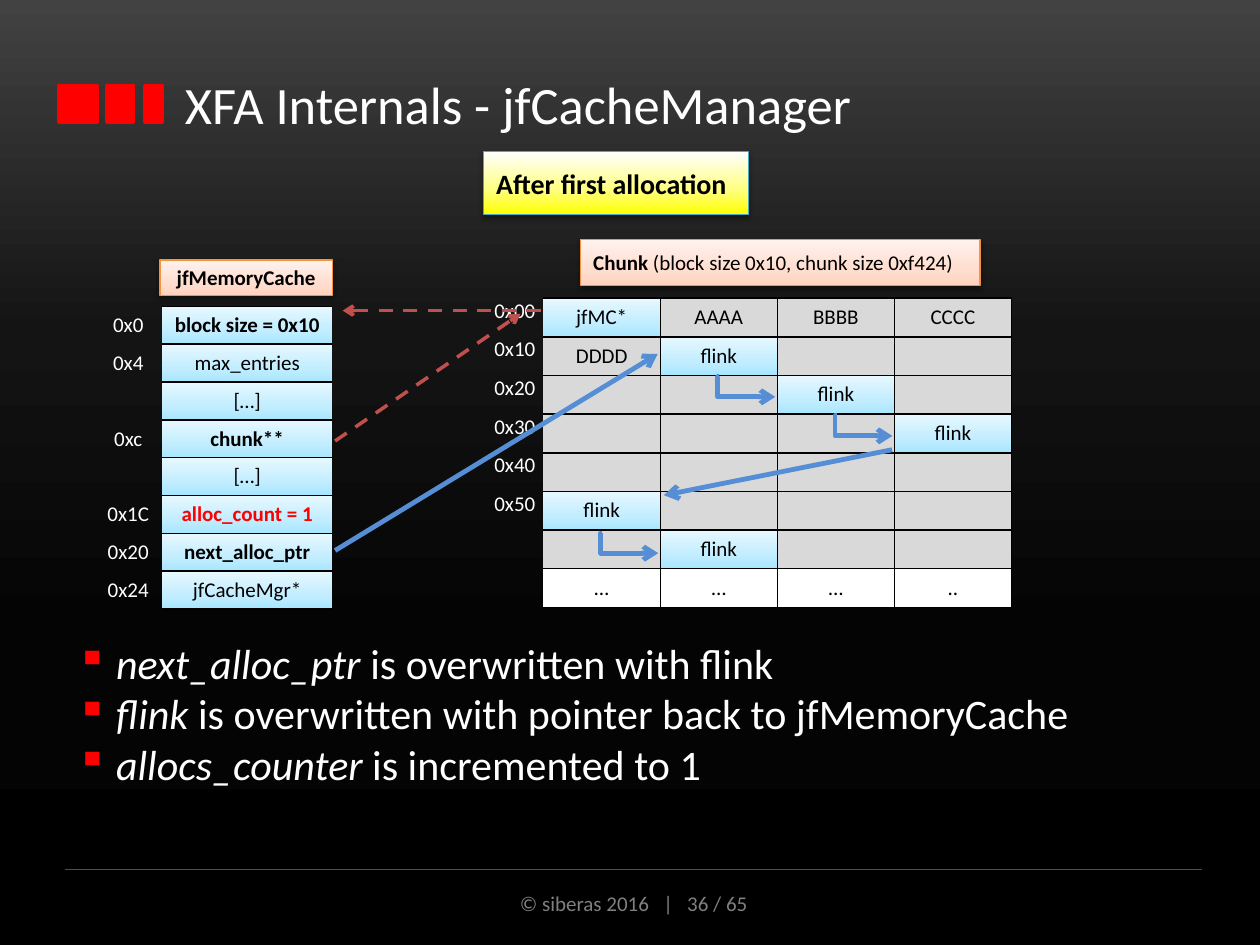
from typing import NamedTuple

from lxml.etree import SubElement
from pptx import Presentation
from pptx.dml.color import RGBColor
from pptx.enum.dml import MSO_LINE
from pptx.enum.shapes import MSO_CONNECTOR, MSO_SHAPE
from pptx.enum.text import MSO_ANCHOR, PP_ALIGN
from pptx.oxml.ns import qn
from pptx.util import Pt

WHITE, BLACK, RED, GREY = "FFFFFF", "000000", "FF0000", "D9D9D9"
BLUE, BRICK = "558ED5", "C0504D"
NO_GRID = "{2D5ABB26-0587-4C30-8999-92F81FD0307C}"

# Gradients as (position in percent, colour)
SKY = [(0, "A7E6FF"), (35, "C1EDFF"), (100, "E7F8FF")]
PEACH = [(0, "FFD2BD"), (35, "FFDED0"), (100, "FFF2ED")]
YELLOW = [(0, "FFFF00"), (39, "FFFF80"), (100, "FFFFFF")]
NIGHT = [(0, "424242"), (35, "141414"), (67, "040404"), (100, "000000")]


class Run(NamedTuple):
    text: str
    color: str = WHITE
    size: float = 12
    bold: bool = False
    italic: bool = False
    spacing: int = 0


class Label(NamedTuple):
    box: tuple
    stops: list
    line: str
    align: PP_ALIGN
    runs: list


class Arrow(NamedTuple):
    start: tuple
    end: tuple
    color: str = BLUE
    width: float = 2.75
    dashed: bool = False
    elbow: bool = False


class Field(NamedTuple):
    offset: str
    name: str
    bold: bool = False
    color: str = BLACK


def rgb(color: str) -> RGBColor:
    return RGBColor.from_string(color)


def add(parent, tag: str, **attrs):
    return SubElement(parent, qn(tag), {k: str(v) for k, v in attrs.items()})


def gradient(fill, host, stops: list, angle: int = 90) -> None:
    fill.gradient()
    fill.gradient_angle = angle
    gs_list = host.find(".//" + qn("a:gsLst"))
    gs_list.clear()
    for pos, color in stops:
        add(add(gs_list, "a:gs", pos=pos * 1000), "a:srgbClr", val=color)


def write(p, runs: list, align=PP_ALIGN.LEFT) -> None:
    p.alignment = align
    for run in runs:
        r = p.add_run()
        r.text = run.text
        fmt = {"name": "Calibri", "size": Pt(run.size), "bold": run.bold, "italic": run.italic}
        for key, value in fmt.items():
            setattr(r.font, key, value)
        r.font.color.rgb = rgb(run.color)
        if run.spacing:
            r.font._element.set("spc", str(run.spacing))


def text_box(s, box: tuple, anchor=MSO_ANCHOR.TOP):
    tf = s.shapes.add_textbox(*map(Pt, box)).text_frame
    tf.word_wrap = True
    tf.vertical_anchor = anchor
    return tf


def draw_label(s, label: Label) -> None:
    sp = s.shapes.add_shape(MSO_SHAPE.RECTANGLE, *map(Pt, label.box))
    gradient(sp.fill, sp._element, label.stops)
    sp.line.color.rgb = rgb(label.line)
    sp.line.width = Pt(0.75)
    sp.shadow.inherit = False
    shadow = add(sp._element.find(".//" + qn("a:effectLst")), "a:outerShdw",
                 blurRad=Pt(3.1), dist=Pt(1.6), dir=5400000, rotWithShape=0)
    add(add(shadow, "a:srgbClr", val=BLACK), "a:alpha", val=38000)
    sp.text_frame.vertical_anchor = MSO_ANCHOR.MIDDLE
    write(sp.text_frame.paragraphs[0], label.runs, label.align)


def draw_line(s, start: tuple, end: tuple, color: str, width: float, kind=MSO_CONNECTOR.STRAIGHT):
    cx = s.shapes.add_connector(kind, *map(Pt, start + end))
    cx.line.color.rgb = rgb(color)
    cx.line.width = Pt(width)
    add(cx._element.spPr, "a:effectLst")
    return cx


def draw_arrow(s, a: Arrow) -> None:
    kind = MSO_CONNECTOR.ELBOW if a.elbow else MSO_CONNECTOR.STRAIGHT
    cx = draw_line(s, a.start, a.end, a.color, a.width, kind)
    if a.dashed:
        cx.line.dash_style = MSO_LINE.DASH
    if a.elbow:
        add(cx._element.find(".//" + qn("a:avLst")), "a:gd", name="adj1", fmla="val -2800")
    add(cx._element.find(".//" + qn("a:ln")), "a:tailEnd", type="arrow")


def new_table(s, left: float, top: float, widths: list, rows: int, height: float):
    frame = s.shapes.add_table(rows, len(widths), Pt(left), Pt(top),
                               Pt(sum(widths)), Pt(height * rows))
    tbl = frame.table
    tbl.first_row = tbl.horz_banding = False
    tbl._tbl.tblPr.find(qn("a:tableStyleId")).text = NO_GRID
    for col, width in zip(tbl.columns, widths):
        col.width = Pt(width)
    return tbl


def draw_cell(cell, run: Run, fill=None, borders: str = "", inset: float = 0) -> None:
    for side in ("left", "right", "top", "bottom"):
        setattr(cell, "margin_" + side, Pt(inset))
    cell.vertical_anchor = MSO_ANCHOR.MIDDLE if fill else MSO_ANCHOR.TOP
    p = cell.text_frame.paragraphs[0]
    if run.text:
        write(p, [run], PP_ALIGN.CENTER)
    else:
        p._p.get_or_add_endParaRPr().set("sz", "1200")
    if isinstance(fill, list):
        gradient(cell.fill, cell._tc, fill)
    elif fill:
        cell.fill.solid()
        cell.fill.fore_color.rgb = rgb(fill)
    else:
        cell.fill.background()
    tcPr = cell._tc.get_or_add_tcPr()
    for i, side in enumerate(borders):
        ln = add(tcPr, "a:ln" + side, w=Pt(1))
        add(add(ln, "a:solidFill"), "a:srgbClr", val=BLACK)
        tcPr.insert(i, ln)


prs = Presentation()
prs.slide_width, prs.slide_height = Pt(720), Pt(540)
s = prs.slides.add_slide(prs.slide_layouts[6])
gradient(s.background.fill, s._element, NIGHT, 270)

# Title with its three red blocks
for left, width in [(33.8, 21.6), (61.2, 15.1), (82.8, 10.1)]:
    sp = s.shapes.add_shape(MSO_SHAPE.RECTANGLE, Pt(left), Pt(49), Pt(width), Pt(20.9))
    sp.fill.solid()
    sp.fill.fore_color.rgb = sp.line.color.rgb = rgb(RED)
    sp.line.width = Pt(2)
    sp.shadow.inherit = False
title = text_box(s, (98.6, 28.1, 584.6, 62.6), MSO_ANCHOR.MIDDLE)
write(title.paragraphs[0], [Run("XFA Internals - jfCacheManager", size=30)])

# Footer
draw_line(s, (37.4, 496.8), (686.9, 496.8), "4D4D4D", 0.75)
footer = text_box(s, (242.6, 505.4, 239, 21.6))
write(footer.paragraphs[0], [Run("© siberas 2016", "808080"), Run(" |", "808080", spacing=540),
                             Run(" 36 / 65", "808080")], PP_ALIGN.CENTER)

# Memory cache structure
fields = [
    Field("0x0", "block size = 0x10", True), Field("0x4", "max_entries"),
    Field("", "[…]"), Field("0xc", "chunk**", True), Field("", "[…]"),
    Field("0x1C", "alloc_count = 1", True, RED),
    Field("0x20", "next_alloc_ptr", True), Field("0x24", "jfCacheMgr*"),
]
cache = new_table(s, 54, 175, [38.6, 97.4], len(fields), 21.6)
for i, f in enumerate(fields):
    draw_cell(cache.cell(i, 0), Run(f.offset), inset=3.6)
    draw_cell(cache.cell(i, 1), Run(f.name, f.color, bold=f.bold), SKY, "TB", 3.6)

# Chunk grid: pointers are blue, the closing row is white
chunk_rows = [
    ["0x00", "jfMC*", "AAAA", "BBBB", "CCCC"],
    ["0x10", "DDDD", "flink", "", ""],
    ["0x20", "", "", "flink", ""],
    ["0x30", "", "", "", "flink"],
    ["0x40", "", "", "", ""],
    ["0x50", "flink", "", "", ""],
    ["", "", "flink", "", ""],
    ["", "…", "…", "…", ".."],
]
chunk = new_table(s, 278, 170.4, [32.4] + [66.9] * 4, len(chunk_rows), 22.1)
for i, (offset, *values) in enumerate(chunk_rows):
    draw_cell(chunk.cell(i, 0), Run(offset))
    for j, value in enumerate(values, 1):
        plain = WHITE if i == len(chunk_rows) - 1 else GREY
        fill = SKY if value in ("flink", "jfMC*") else plain
        draw_cell(chunk.cell(i, j), Run(value, BLACK), fill, "RTB" if j == 1 else "LRTB")

# Headings
for label in [
    Label((91.4, 148.5, 98.6, 20.2), PEACH, "F69240", PP_ALIGN.CENTER,
          [Run("jfMemoryCache", BLACK, bold=True)]),
    Label((331.9, 136.8, 228.2, 26.4), PEACH, "F69240", PP_ALIGN.LEFT,
          [Run("Chunk ", BLACK, bold=True), Run("(block size 0x10, chunk size 0xf424)", BLACK)]),
    Label((276.5, 86.6, 151.2, 36), YELLOW, "46AAC5", PP_ALIGN.LEFT,
          [Run("After first allocation", BLACK, 16, True)]),
]:
    draw_label(s, label)

# Free list links and pointers
elbows = [Arrow((x, y), (x + 31.9, y + 11.5), elbow=True)
          for x, y in [(478, 237.6), (411.1, 215.3), (344.2, 304.6)]]
for arrow in elbows + [
    Arrow((509.8, 257), (379.4, 283)),
    Arrow((191.5, 314.6), (375.8, 202.3)),
    Arrow((191.5, 252), (297.4, 179.3), BRICK, 2, True),
    Arrow((308.9, 177.5), (195.8, 177.5), BRICK, 2, True),
]:
    draw_arrow(s, arrow)

# Bullets
tf = text_box(s, (36.7, 360.7, 646.6, 94.3))
for i, (term, rest) in enumerate([
    ("next_alloc_ptr ", "is overwritten with flink"),
    ("flink ", "is overwritten with pointer back to jfMemoryCache"),
    ("allocs_counter ", "is incremented to 1"),
]):
    p = tf.add_paragraph() if i else tf.paragraphs[0]
    pPr = p._p.get_or_add_pPr()
    pPr.set("marL", str(Pt(22.5)))
    pPr.set("indent", str(Pt(-22.5)))
    add(add(pPr, "a:buClr"), "a:srgbClr", val=RED)
    add(pPr, "a:buChar", char="▪")
    write(p, [Run(term, size=24, italic=True), Run(rest, size=24)])

prs.save("out.pptx")
